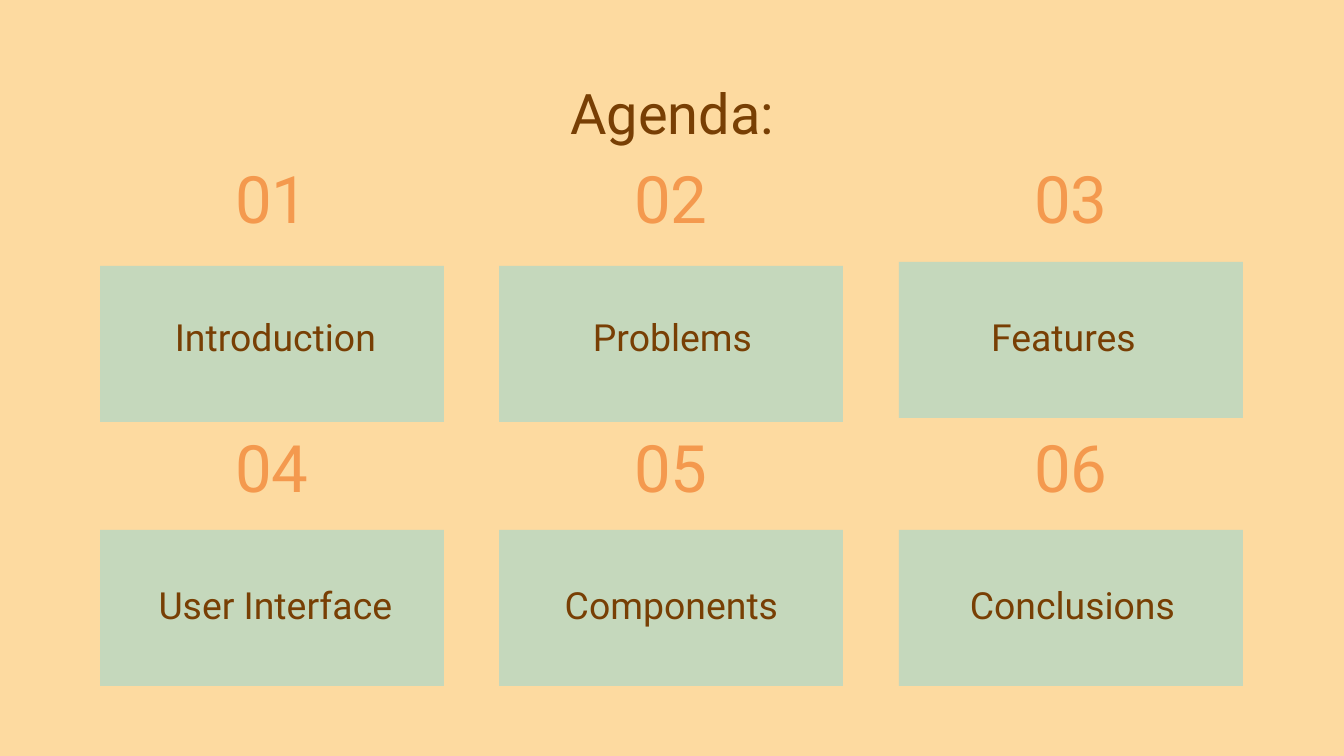
"""Build the agenda slide with six numbered topics."""
from pptx import Presentation
from pptx import util as u
from pptx.dml.color import RGBColor
from pptx.enum import shapes, text

SCALE = 914400 / 134.4
BROWN, ORANGE, GREEN, SAND = "783F04", "F4994E", "C5D8BC", "FDDAA0"


def px(*sizes):
    return [u.Emu(round(size * SCALE)) for size in sizes]


def write(box, words, size, tint):
    frame = box.text_frame
    frame.text = words
    inset = px(13)[0]
    style = {
        "margin_left": inset, "margin_right": inset,
        "margin_top": inset, "margin_bottom": inset,
        "word_wrap": True, "auto_size": text.MSO_AUTO_SIZE.NONE,
        "vertical_anchor": text.MSO_ANCHOR.TOP,
    }
    for name, value in style.items():
        setattr(frame, name, value)
    line = frame.paragraphs[0]
    line.alignment = text.PP_ALIGN.CENTER
    line.line_spacing = 1.0
    for name, value in {"name": "Roboto", "size": u.Pt(size)}.items():
        setattr(line.font, name, value)
    line.font.color.rgb = RGBColor.from_string(tint)


deck = Presentation()
deck.slide_width, deck.slide_height = px(1344, 756)
slide = deck.slides.add_slide(deck.slide_layouts[5])
back = slide.background.fill
back.solid()
back.fore_color.rgb = RGBColor.from_string(SAND)

title = slide.shapes.title
title.left, title.top, title.width, title.height = px(106, 66, 1133, 85)
write(title, "Agenda:", 30, BROWN)

topics = [
    ("Introduction", 100, 266, 108),
    ("Problems", 499, 266, 505),
    ("Features", 899, 262, 896),
    ("User Interface", 100, 530, 108),
    ("Components", 499, 530, 504),
    ("Conclusions", 899, 530, 905),
]
for step, (topic, left, top, start) in enumerate(topics):
    row = step // 3
    card = slide.shapes.add_shape(
        shapes.MSO_SHAPE.RECTANGLE, *px(left, top, 344, 156))
    card.shadow.inherit = False
    card.fill.solid()
    card.fill.fore_color.rgb = RGBColor.from_string(GREEN)
    card.line.fill.background()

    label = slide.shapes.add_textbox(*px(start, 301 + 268 * row, 335, 78))
    write(label, topic, 20, BROWN)
    count = slide.shapes.add_textbox(
        *px(left + 115, 145 + 269 * row, 114, 93))
    write(count, f"{step + 1:02}", 35, ORANGE)

deck.save("out.pptx")
